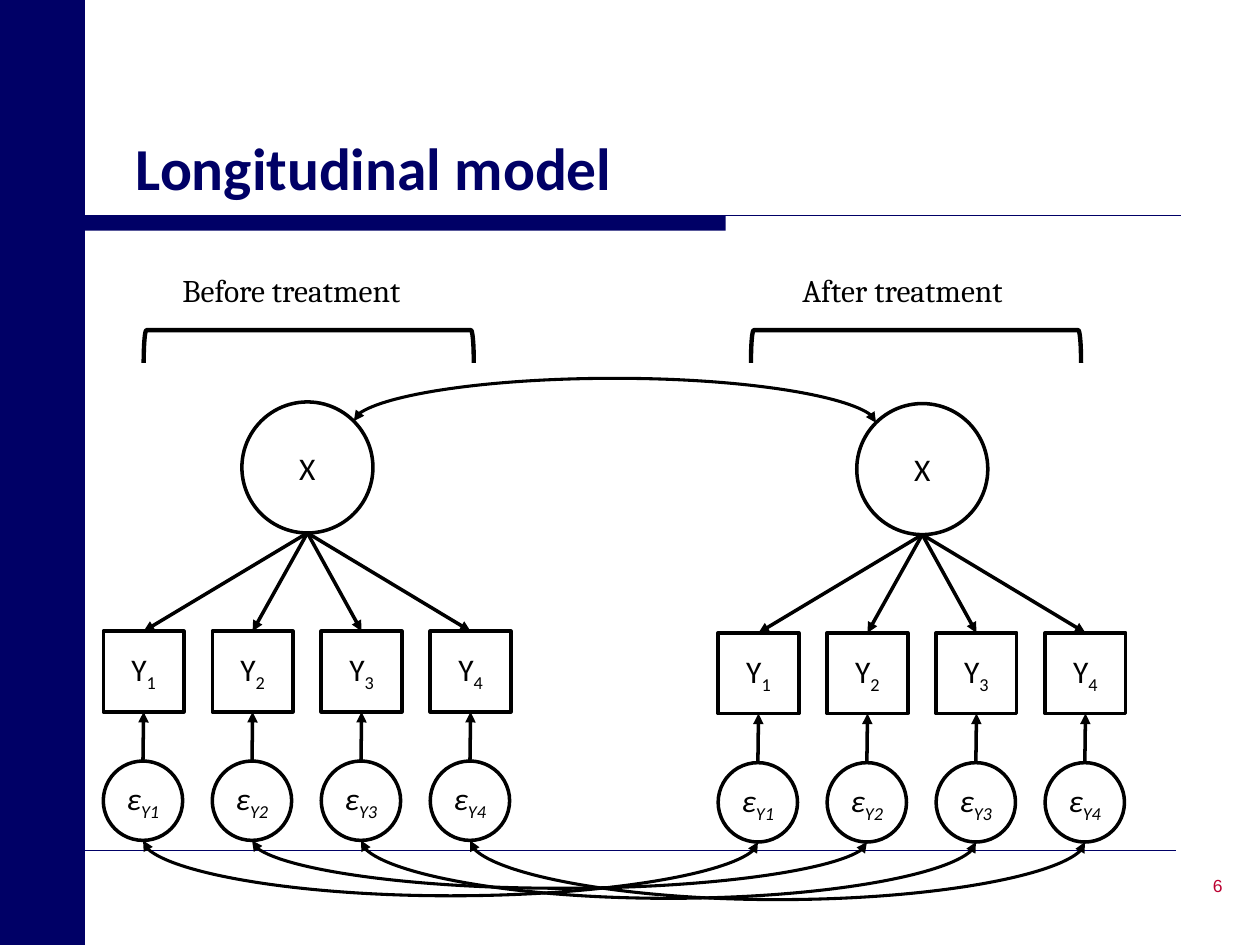
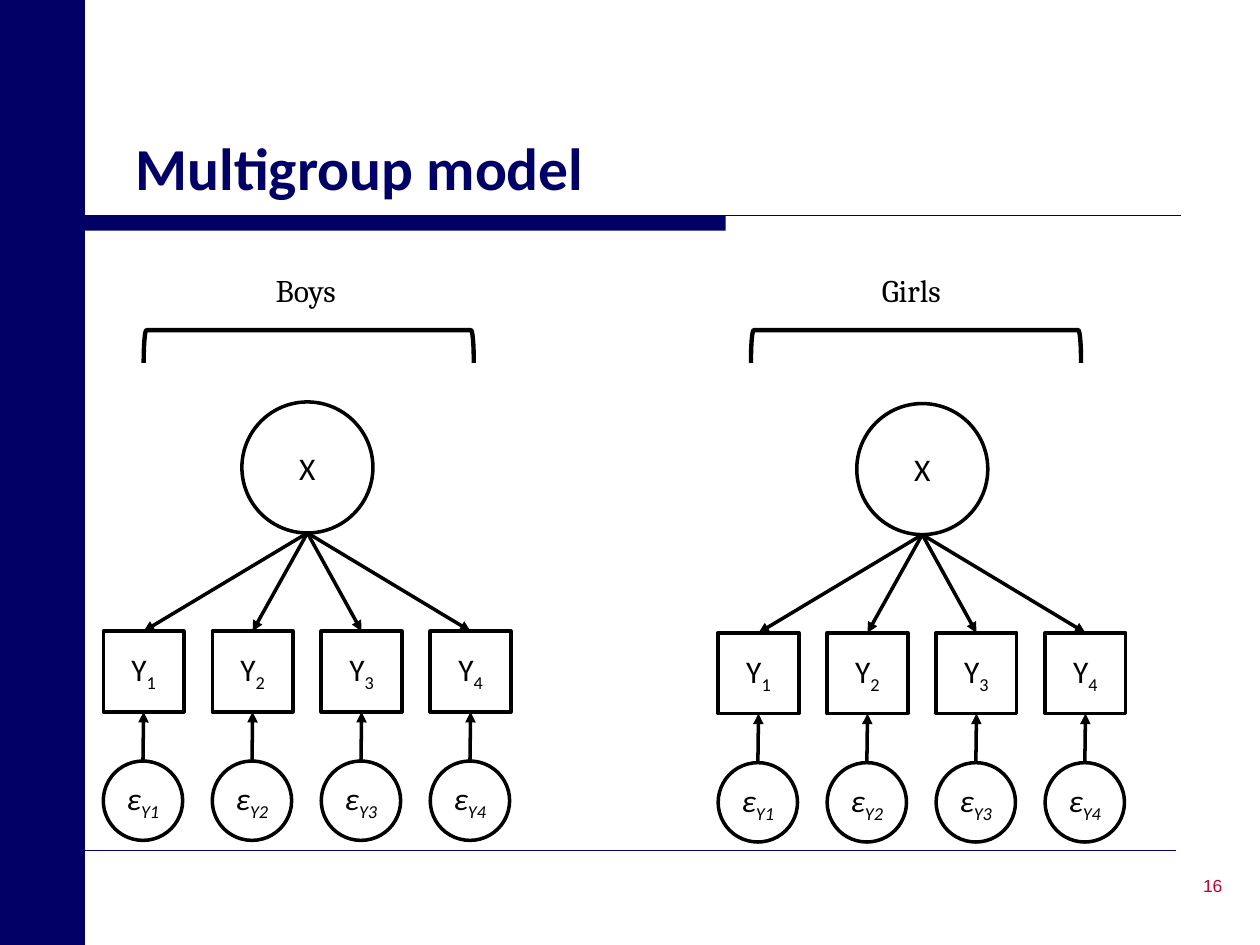
import math

from pptx import Presentation, util as u
from pptx.dml.color import RGBColor
from pptx.enum import shapes, text
from pptx.oxml import parse_xml
from pptx.oxml.ns import nsdecls, qn

NAVY, BLACK, RED = "000066", "000000", "BC0031"
COLS, ROWS = 100, 75  # grid laid over the slide

BODY = {"name": "Calibri", "size": 18, "color": BLACK}
ERROR = {**BODY, "italic": True}
LABEL = {**BODY, "name": "Cambria"}
TITLE = {"name": "Calibri", "size": 34, "color": NAVY, "bold": True}
NUMBER = {"name": "Arial", "size": 10, "color": RED}

ALIGN, ANCHOR = text.PP_ALIGN, text.MSO_ANCHOR
KIND, LINK = shapes.MSO_SHAPE, shapes.MSO_CONNECTOR

# Measurement model, in columns and rows
ITEMS = 4
ITEM_LEFT, ITEM_STEP = 8.2, 8.65
ITEM_TOP, ITEM_SIZE = 50.1, 6.4
ERROR_TOP, ERROR_SIZE = 60.4, 6.3
FACTOR_LEFT, FACTOR_TOP, FACTOR_SIZE = 19.2, 31.9, 10.4
GROUP_STEP, GROUP_DROP = 48.8, 0.13
BRACKET_LEFT, BRACKET_STEP = 23.2, 48.2
FACTOR_ARCH = -3.4
ERROR_SAGS = [4.4, 3.8, 4.6, 4.7]


def rgb(color):
    return RGBColor.from_string(color)


class Deck:
    def __init__(self):
        self.prs = Presentation()
        self.prs.slide_width, self.prs.slide_height = u.Inches(10), u.Inches(7.5)
        self.s = None

    def x(self, cols):
        return u.Emu(round(self.prs.slide_width * cols / COLS))

    def y(self, rows):
        return u.Emu(round(self.prs.slide_height * rows / ROWS))

    def box(self, left, top, width, height):
        return self.x(left), self.y(top), self.x(width), self.y(height)

    def slide(self, title, number):
        self.s = self.prs.slides.add_slide(self.prs.slide_layouts[6])
        self.shape(KIND.RECTANGLE, 6.7, 17.1, 50.9, 1.2, fill=NAVY, weight=0)
        self.line(6.7, 17.1, 93.7, 17.1, NAVY, 0.75)
        self.line(6.7, 67.5, 93.3, 67.5, NAVY, 0.25)
        self.shape(KIND.RECTANGLE, 0, 0, 6.7, ROWS, fill=NAVY, line=NAVY, weight=1)
        self.text(title, 9.8, 3.3, 76.9, 13.3, TITLE, anchor=ANCHOR.BOTTOM)
        self.text(number, 77.2, 67.4, 20.8, 5.8, NUMBER, ALIGN.RIGHT, ANCHOR.MIDDLE)

    def fill_text(self, sp, words, style, align, anchor, wrap=True, sub=""):
        tf = sp.text_frame
        tf.word_wrap, tf.vertical_anchor = wrap, anchor
        p = tf.paragraphs[0]
        p.alignment = align
        for part in filter(None, (words, sub)):
            r = p.add_run()
            r.text = part
            for key, value in style.items():
                if key == "color":
                    r.font.color.rgb = rgb(value)
                else:
                    setattr(r.font, key, u.Pt(value) if key == "size" else value)
            if part == sub:
                r.font._element.set("baseline", "-25000")

    def text(self, words, left, top, width, height, style,
             align=ALIGN.LEFT, anchor=ANCHOR.TOP):
        sp = self.s.shapes.add_textbox(*self.box(left, top, width, height))
        self.fill_text(sp, words, style, align, anchor)

    def shape(self, kind, left, top, width, height, fill=None, line=BLACK, weight=2):
        sp = self.s.shapes.add_shape(kind, *self.box(left, top, width, height))
        sp.shadow.inherit = False
        if fill:
            sp.fill.solid()
            sp.fill.fore_color.rgb = rgb(fill)
        else:
            sp.fill.background()
        if weight:
            sp.line.color.rgb, sp.line.width = rgb(line), u.Pt(weight)
        else:
            sp.line.fill.background()
        return sp

    def node(self, kind, left, top, size, words, sub="", style=BODY):
        sp = self.shape(kind, left, top, size, size)
        self.fill_text(sp, words, style, ALIGN.CENTER, ANCHOR.MIDDLE,
                       wrap=kind == KIND.RECTANGLE, sub=sub)
        return sp

    def line(self, x1, y1, x2, y2, color=BLACK, weight=2, heads=(),
             kind=LINK.STRAIGHT):
        c = self.s.shapes.add_connector(
            kind, self.x(x1), self.y(y1), self.x(x2), self.y(y2))
        c.line.color.rgb, c.line.width = rgb(color), u.Pt(weight)
        for end in heads:
            c.line._get_or_add_ln().append(
                parse_xml(f'<a:{end} {nsdecls("a")} type="triangle"/>'))
        c._element.spPr.append(parse_xml(f'<a:effectLst {nsdecls("a")}/>'))
        return c

    def curve(self, start, start_site, end, end_site, x1, y1, x2, y2, bend):
        """Two-headed curve leaving both ends vertically; bend is its depth."""
        drop, span = y2 - y1, x2 - x1
        left, top = (x1 + x2 - drop) / 2, (y1 + y2 - span) / 2
        c = self.line(left, top, left + drop, top + span, weight=1.75,
                      heads=("headEnd", "tailEnd"), kind=LINK.CURVE)
        c._connect_begin_to(start, start_site)
        c._connect_end_to(end, end_site)
        xfrm = c._element.spPr.find(qn("a:xfrm"))
        xfrm.set("rot", "16200000")
        xfrm.set("flipH", "1")
        geom = c._element.spPr.find(qn("a:prstGeom"))
        for old in geom.findall(qn("a:avLst")):
            geom.remove(old)
        geom.append(parse_xml(
            f'<a:avLst {nsdecls("a")}><a:gd name="adj1" '
            f'fmla="val {round(bend / drop * 100000)}"/></a:avLst>'))

    def group(self, index, label, label_left):
        """One factor with its items and errors, under a labelled bracket."""
        dx, dy = index * GROUP_STEP, index * GROUP_DROP
        factor = self.node(KIND.OVAL, FACTOR_LEFT + dx, FACTOR_TOP + dy,
                           FACTOR_SIZE, "X")
        factor_x = FACTOR_LEFT + dx + FACTOR_SIZE / 2
        factor_y = FACTOR_TOP + dy + FACTOR_SIZE
        errors = []
        for i in range(ITEMS):
            left = ITEM_LEFT + dx + i * ITEM_STEP
            item = self.node(KIND.RECTANGLE, left, ITEM_TOP + dy, ITEM_SIZE,
                             "Y", str(i + 1))
            error = self.node(KIND.OVAL, left, ERROR_TOP + dy, ERROR_SIZE,
                              "ε", f"Y{i + 1}", ERROR)
            item_x = left + ITEM_SIZE / 2
            loading = self.line(factor_x, factor_y, item_x, ITEM_TOP + dy,
                                heads=("tailEnd",))
            loading._connect_begin_to(factor, 4)
            loading.end_connect(item, 0)
            residual = self.line(left + ERROR_SIZE / 2, ERROR_TOP + dy, item_x,
                                 ITEM_TOP + dy + ITEM_SIZE, heads=("tailEnd",))
            residual.begin_connect(error, 0)
            residual.end_connect(item, 2)
            errors.append(error)
        bracket = self.shape(KIND.RIGHT_BRACKET, BRACKET_LEFT + index * BRACKET_STEP,
                             14.4, 2.6, 26.2, weight=2.5)
        bracket.rotation = 270
        self.text(label, label_left, 21, 30.6, 4, LABEL)
        return factor, errors

    def covariances(self, before, after):
        """Curves that tie the factors and the matching errors over time."""
        inset = FACTOR_SIZE / 2 * (1 - math.sqrt(0.5))
        y = FACTOR_TOP + inset
        self.curve(before[0], 7, after[0], 1,
                   FACTOR_LEFT + FACTOR_SIZE - inset, y,
                   FACTOR_LEFT + GROUP_STEP + inset, y + GROUP_DROP, FACTOR_ARCH)
        y = ERROR_TOP + ERROR_SIZE
        for i, sag in enumerate(ERROR_SAGS):
            x = ITEM_LEFT + i * ITEM_STEP + ERROR_SIZE / 2
            self.curve(before[1][i], 4, after[1][i], 4,
                       x, y, x + GROUP_STEP, y + GROUP_DROP, sag)


def main():
    deck = Deck()

    # Same people measured twice
    deck.slide("Longitudinal model", "6")
    before = deck.group(0, "Before treatment", 13.5)
    after = deck.group(1, "After treatment", 62.7)
    deck.covariances(before, after)

    # Two independent groups
    deck.slide("Multigroup model", "16")
    deck.group(0, "Boys", 20.9)
    deck.group(1, "Girls", 69)

    deck.prs.save("out.pptx")


if __name__ == "__main__":
    main()
